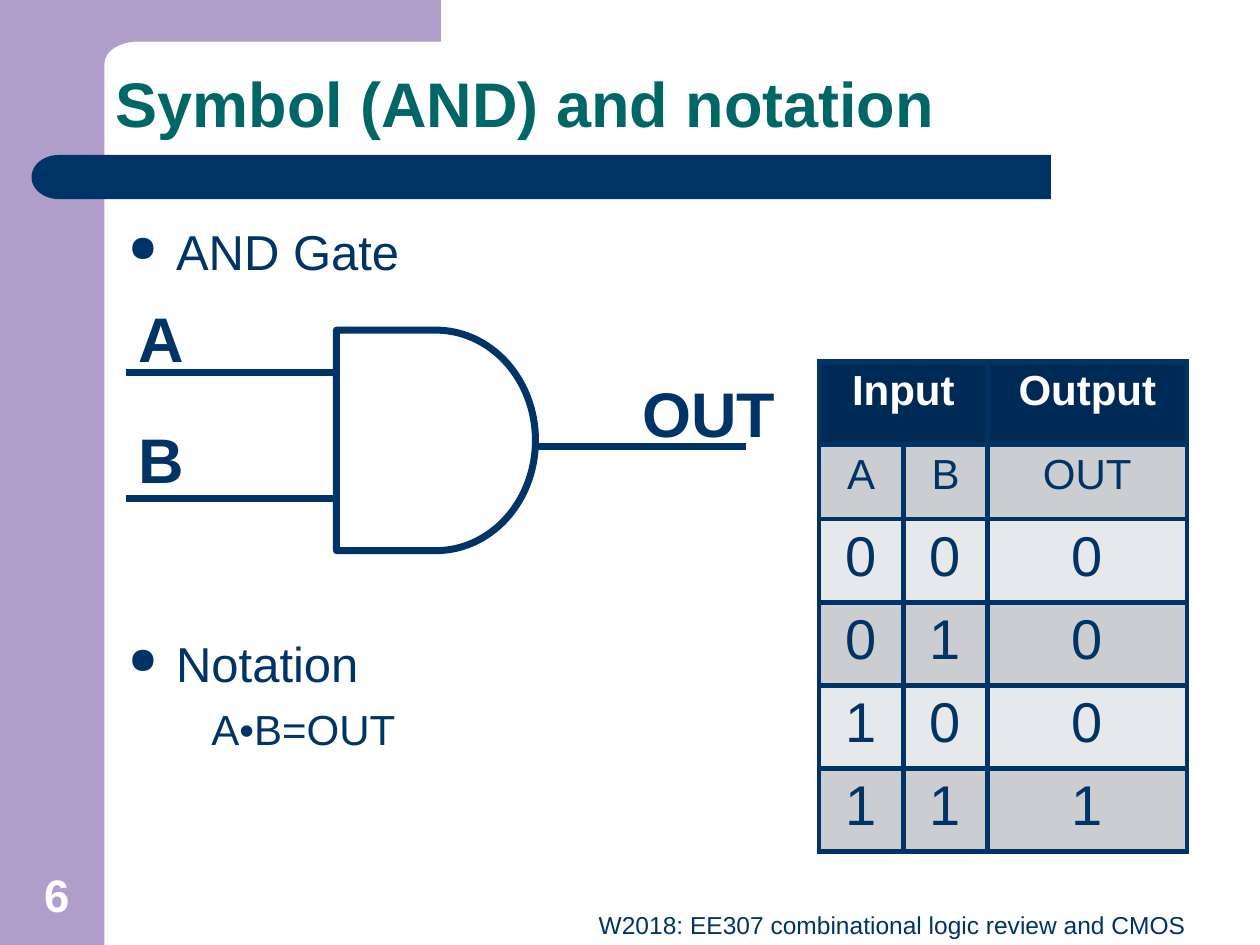
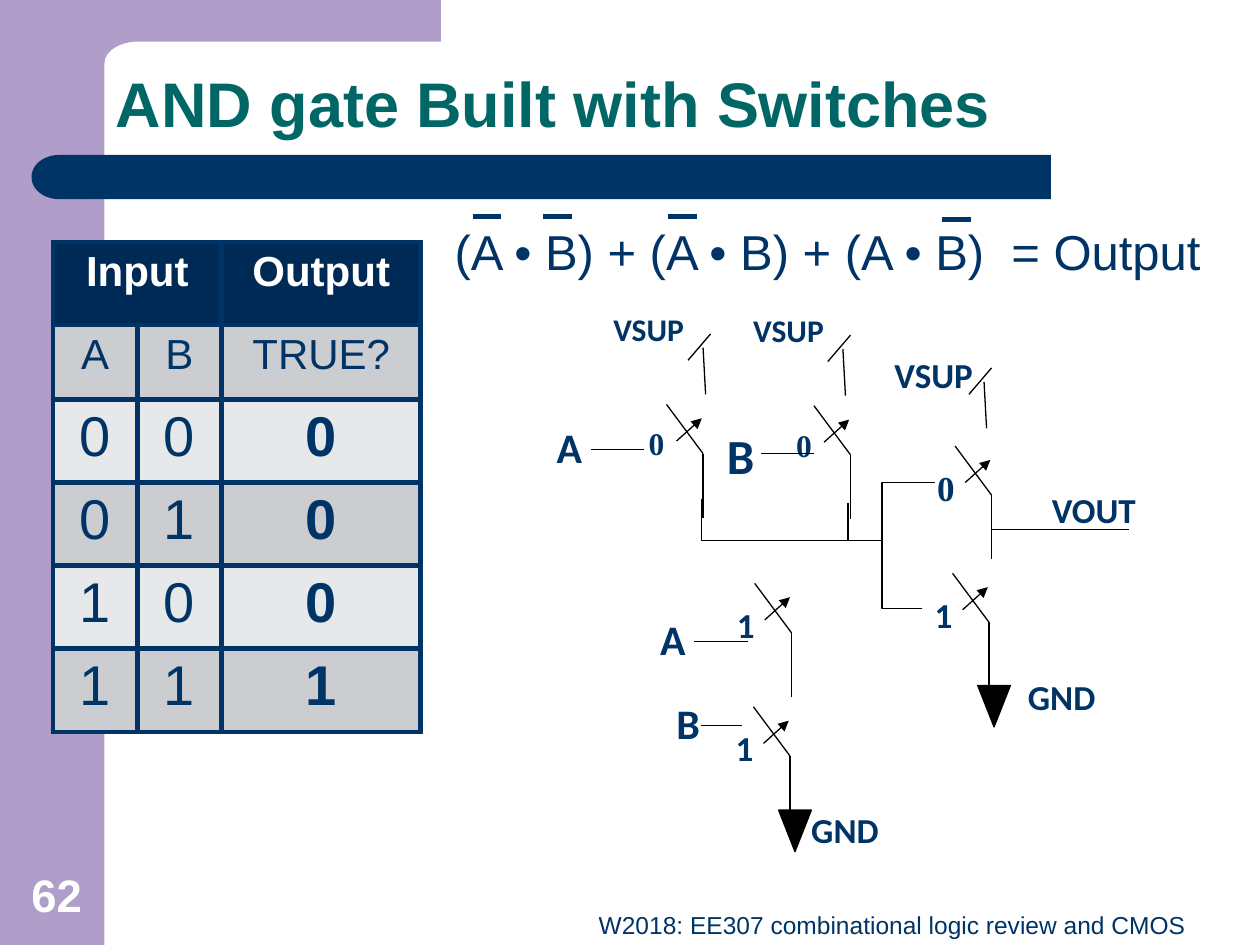
from math import cos, pi, sin

from pptx import Presentation
from pptx import util as u
from pptx.dml.color import RGBColor
from pptx.enum import shapes, text
from pptx.oxml import parse_xml
from pptx.oxml.ns import nsdecls, qn
from lxml import etree

NAVY, TEAL, LILAC = "003366", "006666", "B09DC9"
WHITE, BLACK = "FFFFFF", "000000"
HEADER, DARK_ROW, LIGHT_ROW = "002A56", "CCCDD1", "E7E8E9"
FOOTER = "W2018: EE307 combinational logic review and CMOS"
INPUTS = [("0", "0"), ("0", "1"), ("1", "0"), ("1", "1")]


def color(value):
    return RGBColor.from_string(value)


class Deck:
    """Holds the style and the current page, and draws each kind of element."""

    def __init__(self):
        self.deck = Presentation()
        self.deck.slide_width = u.Inches(10)
        self.deck.slide_height = u.Inches(7.5)
        self.page = None

    def add_page(self, title, number):
        self.page = self.deck.slides.add_slide(self.deck.slide_layouts[6])
        kinds = shapes.MSO_SHAPE
        self.shape(kinds.RECTANGLE, 0, 0, 0.83, 7.5, LILAC)
        steps = [pi / 2 * (1 + i / 12) for i in range(13)]
        corner = [(1.1 + 0.27 * cos(a), 0.5 - 0.17 * sin(a)) for a in steps]
        self.outline([(3.5, 0), (3.5, 0.33), *corner, (0.5, 0.5), (0.5, 0)],
                     fill=LILAC)
        self.shape(kinds.RECTANGLE, 0.67, 1.23, 7.67, 0.35, NAVY)
        cap = self.shape(kinds.FLOWCHART_DELAY, 0.25, 1.23, 0.43, 0.35, NAVY)
        cap.rotation = 180
        bottom = text.MSO_ANCHOR.BOTTOM
        self.label(title, 0.82, 0.33, 8.67, 0.83, 36, tint=TEAL, anchor=bottom)
        self.label(FOOTER, 3.42, 7.17, 6.09, 0.33, 14, bold=False,
                   align=text.PP_ALIGN.RIGHT)
        self.label(number, 0, 6.83, 0.9, 0.53, 26, tint=WHITE, anchor=bottom,
                   align=text.PP_ALIGN.CENTER)

    def paint(self, shape, fill, line, weight):
        shape.shadow.inherit = False
        if fill:
            shape.fill.solid()
            shape.fill.fore_color.rgb = color(fill)
        else:
            shape.fill.background()
        if line:
            shape.line.color.rgb = color(line)
            shape.line.width = u.Pt(weight)
        else:
            shape.line.fill.background()
        return shape

    def shape(self, kind, left, top, width, height, fill, line=None, weight=0.75):
        shape = self.page.shapes.add_shape(
            kind, *map(u.Inches, (left, top, width, height)))
        return self.paint(shape, fill, line, weight)

    def outline(self, points, fill=None, line=None, weight=0.75):
        start, *rest = [tuple(map(u.Inches, point)) for point in points]
        builder = self.page.shapes.build_freeform(*start)
        builder.add_line_segments(rest, close=bool(fill))
        return self.paint(builder.convert_to_shape(), fill, line, weight)

    def line(self, x1, y1, x2, y2, tint=BLACK, weight=0.75, arrow=False):
        line = self.page.shapes.add_connector(
            shapes.MSO_CONNECTOR.STRAIGHT, *map(u.Inches, (x1, y1, x2, y2)))
        line.line.color.rgb = color(tint)
        line.line.width = u.Pt(weight)
        if arrow:
            etree.SubElement(line.line._get_or_add_ln(), qn("a:tailEnd"),
                             type="triangle")
        etree.SubElement(line._element.spPr, qn("a:effectLst"))

    def span(self, para, words, size, tint=NAVY, bold=False, font="Arial"):
        span = para.add_run()
        span.text = words
        span.font.name, span.font.size, span.font.bold = font, u.Pt(size), bold
        span.font.color.rgb = color(tint)

    def box(self, left, top, width, height, anchor=text.MSO_ANCHOR.TOP):
        box = self.page.shapes.add_textbox(
            *map(u.Inches, (left, top, width, height)))
        box.text_frame.word_wrap = True
        box.text_frame.vertical_anchor = anchor
        return box.text_frame

    def label(self, words, left, top, width, height, size, tint=NAVY, bold=True,
              font="Arial", anchor=text.MSO_ANCHOR.TOP,
              align=text.PP_ALIGN.LEFT):
        para = self.box(left, top, width, height, anchor).paragraphs[0]
        para.alignment = align
        self.span(para, words, size, tint, bold, font)

    def bullet(self, words, top, detail=None):
        frame = self.box(0.92, top, 5, 1.1)
        para = frame.paragraphs[0]
        self.span(para, words, 28)
        props = para._p.get_or_add_pPr()
        props.set("marL", str(u.Inches(0.38)))
        props.set("indent", str(-u.Inches(0.38)))
        props.append(parse_xml(
            f'<a:buClr {nsdecls("a")}><a:srgbClr val="{NAVY}"/></a:buClr>'))
        etree.SubElement(props, qn("a:buSzPct"), val="75000")
        etree.SubElement(props, qn("a:buChar"), char="●")
        if detail:
            para = frame.add_paragraph()
            para.space_before = u.Pt(6.5)
            para._p.get_or_add_pPr().set("marL", str(u.Inches(0.66)))
            self.span(para, detail, 24)

    def cell(self, cell, words, size, fill, tint, bold):
        props = cell._tc.get_or_add_tcPr()
        for side in ("lnL", "lnR", "lnT", "lnB"):
            props.append(parse_xml(
                f'<a:{side} {nsdecls("a")} w="{u.Pt(3)}"><a:solidFill>'
                f'<a:srgbClr val="{NAVY}"/></a:solidFill></a:{side}>'))
        cell.fill.solid()
        cell.fill.fore_color.rgb = color(fill)
        if words:
            para = cell.text_frame.paragraphs[0]
            para.alignment = text.PP_ALIGN.CENTER
            self.span(para, words, size, tint, bold)

    def truth_table(self, left, top, result, outputs, bold_outputs=False):
        rows = [("Input", "", "Output"), ("A", "B", result)]
        rows += [(*pair, out) for pair, out in zip(INPUTS, outputs)]
        table = self.page.shapes.add_table(
            len(rows), 3, *map(u.Inches, (left, top, 2.92, 3.89))).table
        for column, width in zip(table.columns, (0.67, 0.67, 1.58)):
            column.width = u.Inches(width)
        for r, row in enumerate(rows):
            table.rows[r].height = u.Inches(0.59 if r == 1 else 0.66)
            fill = HEADER if r == 0 else DARK_ROW if r % 2 else LIGHT_ROW
            for c, words in enumerate(row):
                bold = r == 0 or (bold_outputs and r > 1 and c == 2)
                self.cell(table.cell(r, c), words, 24 if r < 2 else 32, fill,
                          NAVY if r else WHITE, bold)
        table.cell(0, 0).merge(table.cell(0, 1))

    def net(self, words, left, top, size=20):
        self.label(words, left, top, 1.07, 0.5, size, font="Calibri")

    def switch(self, x, y, state, size=20):
        self.line(x, y, x + 0.29, y + 0.39)
        self.line(x + 0.29, y + 0.39, x + 0.29, y + 0.9)
        self.line(x + 0.08, y + 0.29, x + 0.28, y + 0.11, arrow=True)
        font = "Calibri" if state == "1" else "Times New Roman"
        self.label(state, x - 0.24, y + 0.11, 0.44, 0.5, size, font=font)

    def supply(self, x, y, rise, size):
        self.line(x, y, x - 0.18, y + 0.21)
        self.line(x - 0.06, y + 0.11, x - 0.04, y + 0.48)
        self.net("VSUP", x - 0.87, y - rise, size)

    def ground(self, left, top, label_left, label_top):
        self.shape(shapes.MSO_SHAPE.FLOWCHART_MERGE, left, top, 0.26, 0.33,
                   BLACK, BLACK)
        self.net("GND", label_left, label_top)


def symbol_page(deck):
    deck.add_page("Symbol (AND) and notation", "6")
    deck.bullet("AND Gate", 1.71)
    deck.bullet("Notation", 4.98, "A•B=OUT")
    deck.shape(shapes.MSO_SHAPE.FLOWCHART_DELAY, 2.67, 2.62, 1.58, 1.75, WHITE,
               NAVY, 4)
    for x, y in [(1, 2.96), (1, 3.96), (4.25, 3.54)]:
        deck.line(x, y, x + 1.67, y, NAVY, 4)
    for words, x, y in [("A", 1, 2.33), ("B", 1, 3.29), ("OUT", 5, 2.92)]:
        deck.label(words, x, y, 1.4, 0.71, 36)
    deck.truth_table(6.5, 2.87, "OUT", "0001")


def switches_page(deck):
    deck.add_page("AND gate Built with Switches", "62")
    deck.label("(A • B) + (A • B) + (A • B)  = Output", 3.51, 1.71, 6.4, 0.6, 28,
               bold=False)
    deck.truth_table(0.42, 1.92, "TRUE?", "0001", bold_outputs=True)
    for x, y in [(3.75, 1.72), (4.31, 1.72), (5.3, 1.72), (7.48, 1.74)]:
        deck.line(x, y, x + 0.23, y, NAVY, 3)

    for x, y, rise, size in [(5.64, 2.65, 0.24, 18), (6.75, 2.66, 0.24, 18),
                             (7.87, 2.92, 0.16, 20)]:
        deck.supply(x, y, rise, size)
    for x, y, state, size in [(5.29, 3.21, "0", 18), (6.46, 3.22, "0", 18),
                              (7.58, 3.54, "0", 20), (7.56, 4.55, "1", 20),
                              (5.99, 4.63, "1", 20), (5.98, 5.61, "1", 20)]:
        deck.switch(x, y, state, size)

    for words, left, top, size in [("A", 4.32, 3.3, 24), ("B", 5.67, 3.33, 28),
                                   ("A", 5.14, 4.82, 24), ("B", 5.27, 5.49, 24),
                                   ("VOUT", 8.25, 3.83, 20)]:
        deck.net(words, left, top, size)
    for x1, x2, y in [(4.69, 5.11, 3.57), (6.04, 6.46, 3.6), (5.51, 5.94, 5.09),
                      (5.56, 5.89, 5.76), (6.26, 7, 4.29), (7.87, 8.96, 4.2)]:
        deck.line(x1, y, x2, y)
    deck.outline([(5.57, 3.96), (5.57, 4.29), (6.73, 4.29), (6.73, 3.99)],
                 line=BLACK)
    deck.outline([(7.32, 4.83), (7, 4.83), (7, 3.83), (7.42, 3.83)], line=BLACK)
    deck.ground(7.76, 5.44, 8.06, 5.31)
    deck.ground(6.18, 6.43, 6.34, 6.37)


def main():
    deck = Deck()
    symbol_page(deck)
    switches_page(deck)
    deck.deck.save("out.pptx")


if __name__ == "__main__":
    main()
